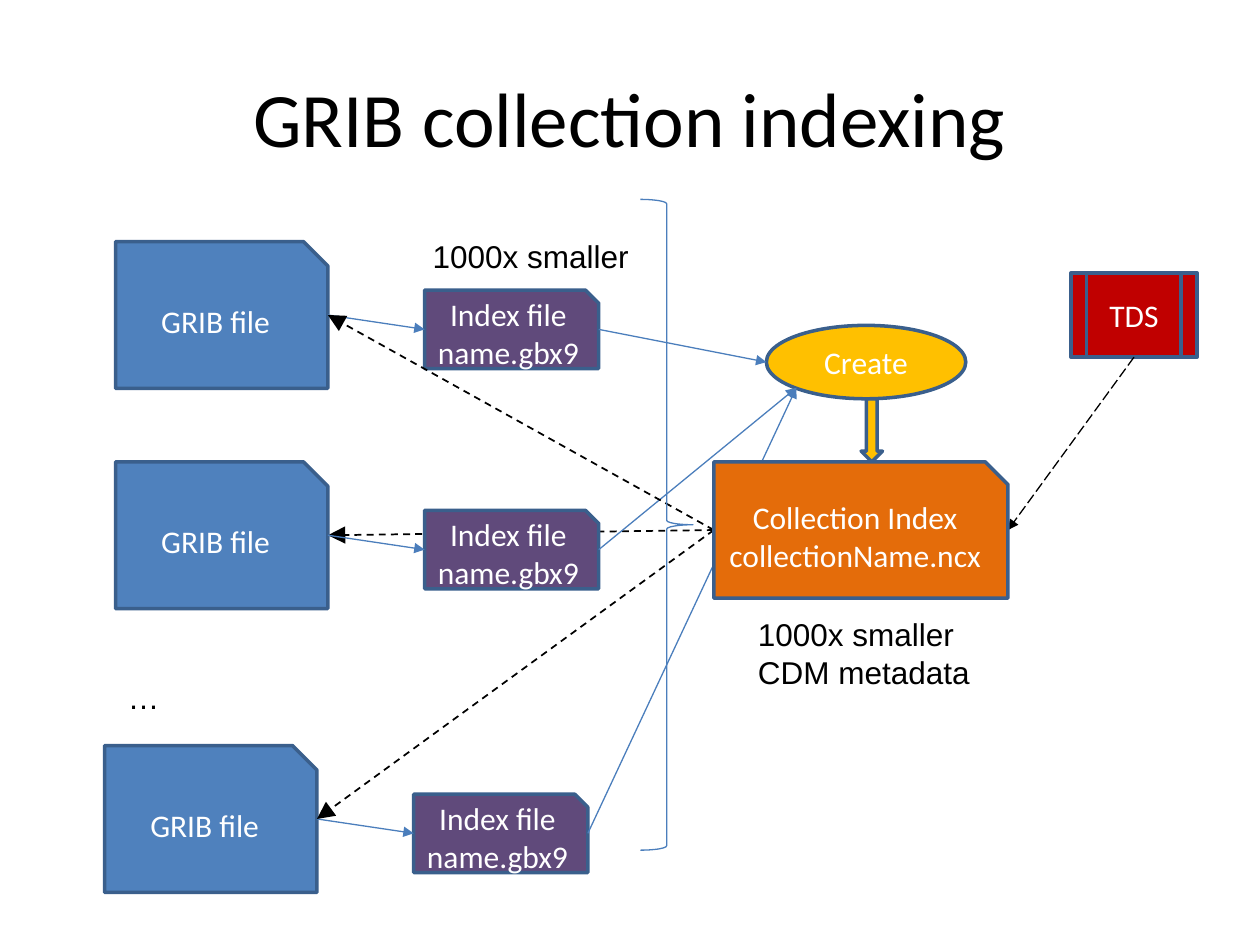
from dataclasses import dataclass

from lxml import etree
from pptx import Presentation
from pptx import util as u
from pptx.dml import color
from pptx.enum import dml, shapes, text
from pptx.oxml import ns


@dataclass(frozen=True)
class Theme:
    file: str = "4F81BD"
    index: str = "604A7B"
    create: str = "FFC000"
    collection: str = "E46C0A"
    server: str = "C00000"
    border: str = "3A5F8C"
    flow: str = "4B7EBC"
    ink: str = "000000"
    paper: str = "FFFFFF"
    heading_font: str = "Calibri"
    label_font: str = "Arial"
    title_size: float = 44
    body_size: float = 18
    border_width: float = 2
    link_width: float = 1
    flow_width: float = 0.75


@dataclass(frozen=True)
class Box:
    """A rectangle in centimetres."""
    left: float
    top: float
    width: float
    height: float

    def at(self, across, down):
        """Point at the given fractions of the width and height."""
        return self.left + across * self.width, self.top + down * self.height

    def inner(self, left, top, width, height):
        return Box(self.left + left, self.top + top, width, height)

    def lengths(self):
        return [u.Cm(v) for v in (self.left, self.top, self.width, self.height)]


THEME = Theme()
KINDS = shapes.MSO_SHAPE
ALIGN = text.PP_ALIGN


def rgb(value):
    return color.RGBColor.from_string(value)


def write(shape, lines, align, **font_format):
    values = {"name": THEME.heading_font, "size": u.Pt(THEME.body_size), **font_format}
    ink = values.pop("ink")
    frame = shape.text_frame
    frame.word_wrap = True
    frame.text = "\n".join(lines)
    for paragraph in frame.paragraphs:
        paragraph.alignment = align
        for name, value in values.items():
            setattr(paragraph.font, name, value)
        paragraph.font.color.rgb = rgb(ink)


def add_block(slide, kind, box, fill, *lines):
    shape = slide.shapes.add_shape(kind, *box.lengths())
    shape.shadow.inherit = False
    shape.fill.solid()
    shape.fill.fore_color.rgb = rgb(fill)
    shape.line.color.rgb = rgb(THEME.border)
    shape.line.width = u.Pt(THEME.border_width)
    if lines:
        shape.text_frame.vertical_anchor = text.MSO_ANCHOR.MIDDLE
        write(shape, lines, ALIGN.CENTER, ink=THEME.paper)


def add_label(slide, box, *lines):
    label = slide.shapes.add_textbox(*box.lengths())
    write(label, lines, ALIGN.LEFT, ink=THEME.ink, name=THEME.label_font)


def add_arrow(slide, start, end, ink=THEME.flow, width=THEME.flow_width,
              dash=None, head="med"):
    arrow = slide.shapes.add_connector(
        shapes.MSO_CONNECTOR.STRAIGHT, *(u.Cm(v) for v in (*start, *end)))
    arrow.line.color.rgb = rgb(ink)
    arrow.line.width = u.Pt(width)
    if dash:
        arrow.line.dash_style = dash
    properties = arrow._element.spPr
    etree.SubElement(properties.find(ns.qn("a:ln")), ns.qn("a:tailEnd"),
                     type="triangle", w=head, len=head)
    etree.SubElement(properties, ns.qn("a:effectLst"))


def add_reference(slide, collection, file):
    """Dashed arrow from the collection index back to a data file."""
    add_arrow(slide, collection.at(0, 0.5), file.at(1, 0.5), THEME.ink,
              THEME.link_width, dml.MSO_LINE.DASH, "lg")


def add_title(slide, box):
    title = slide.shapes.add_textbox(*box.lengths())
    title.text_frame.vertical_anchor = text.MSO_ANCHOR.MIDDLE
    write(title, ["GRIB collection indexing"], ALIGN.CENTER,
          ink=THEME.ink, size=u.Pt(THEME.title_size))


def index_box(file):
    return file.inner(6.23, 0.98, 3.51, 1.58)


def add_file_row(slide, file):
    index = index_box(file)
    add_block(slide, KINDS.SNIP_1_RECTANGLE, index, THEME.index,
              "Index file", "name.gbx9")
    add_block(slide, KINDS.SNIP_1_RECTANGLE, file, THEME.file, "GRIB file")
    add_arrow(slide, file.at(1, 0.5), index.at(0, 0.5))


def add_create_step(slide, box, files):
    add_block(slide, KINDS.OVAL, box, THEME.create, "Create")
    add_block(slide, KINDS.DOWN_ARROW, box.inner(1.91, 1.48, 0.43, 1.27), THEME.create)
    targets = [box.at(0, 0.5)] + [box.at(0.15, 0.85)] * 2
    for file, target in zip(files, targets):
        add_arrow(slide, index_box(file).at(1, 0.5), target)


def add_server(slide, box, collection):
    add_block(slide, KINDS.FLOWCHART_PREDEFINED_PROCESS, box, THEME.server, "TDS")
    add_arrow(slide, box.at(0.5, 1), collection.at(1, 0.5), THEME.ink,
              dash=dml.MSO_LINE.LONG_DASH)


def add_brace(slide, box):
    brace = slide.shapes.add_shape(KINDS.RIGHT_BRACE, *box.lengths())
    brace.shadow.inherit = False
    brace.fill.background()
    brace.line.color.rgb = rgb(THEME.flow)
    brace.line.width = u.Pt(THEME.flow_width)


def add_collection(slide, box):
    add_block(slide, KINDS.SNIP_1_RECTANGLE, box, THEME.collection,
              "Collection Index", "collectionName.ncx")
    add_label(slide, box.inner(0.64, 2.96, 5.29, 1.8), "1000x smaller", "CDM metadata")


def main():
    presentation = Presentation()
    presentation.slide_width, presentation.slide_height = u.Cm(25.4), u.Cm(19.05)
    slide = presentation.slides.add_slide(presentation.slide_layouts[6])

    files = [Box(left, top, 4.28, 2.96)
             for left, top in ((2.33, 4.87), (2.33, 9.31), (2.11, 15.03))]
    first, middle, last = files
    collection = Box(14.39, 9.31, 5.93, 2.75)

    add_reference(slide, collection, middle)
    add_title(slide, Box(1.27, 0.76, 22.86, 3.18))
    for file in files:
        add_file_row(slide, file)
    add_label(slide, Box(2.33, 13.55, 1.2, 1.02), "…")
    add_label(slide, Box(8.47, 4.66, 5.72, 1.02), "1000x smaller")
    add_create_step(slide, Box(15.45, 6.56, 4.02, 1.48), files)
    add_server(slide, Box(21.59, 5.5, 2.54, 1.7), collection)
    for file in (last, first):
        add_reference(slide, collection, file)
    add_brace(slide, Box(12.91, 4.02, 1.06, 13.12))
    add_collection(slide, collection)

    presentation.save("out.pptx")


if __name__ == "__main__":
    main()
